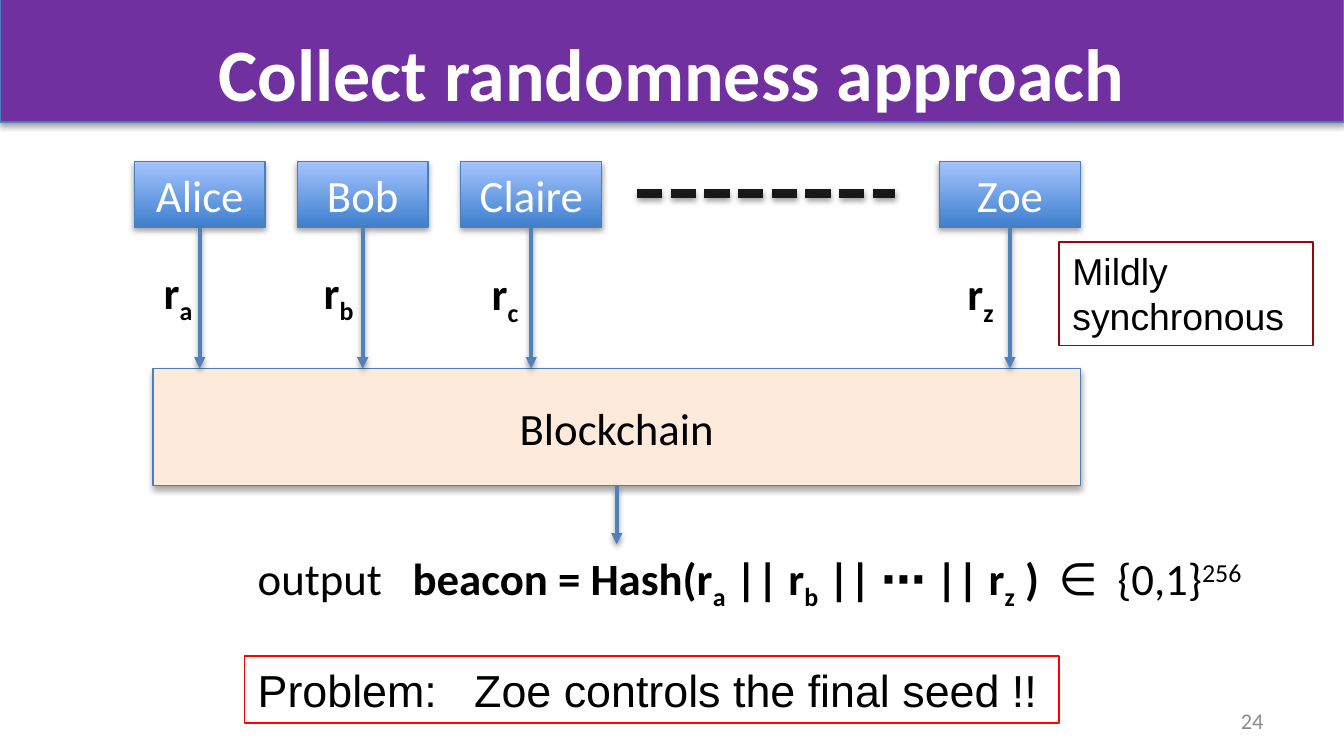
"""Build the slide on collecting randomness through a blockchain."""
from dataclasses import dataclass

from lxml import etree
from pptx import Presentation
from pptx.dml.color import RGBColor
from pptx.enum.dml import MSO_LINE
from pptx.enum.shapes import MSO_CONNECTOR, MSO_SHAPE
from pptx.enum.text import MSO_ANCHOR, MSO_AUTO_SIZE, PP_ALIGN
from pptx.oxml import parse_xml
from pptx.oxml.ns import nsdecls, qn
from pptx.util import Pt


@dataclass(frozen=True)
class Theme:
    banner: RGBColor = RGBColor(0x70, 0x30, 0xA0)
    outline: RGBColor = RGBColor(0x4B, 0x7E, 0xBC)
    arrow: RGBColor = RGBColor(0x4F, 0x81, 0xBD)
    dash: RGBColor = RGBColor(0x18, 0x18, 0x18)
    party_dark: RGBColor = RGBColor(0x3F, 0x80, 0xCE)
    party_light: RGBColor = RGBColor(0xA4, 0xC4, 0xFF)
    chain: RGBColor = RGBColor(0xFD, 0xEA, 0xDA)
    problem: RGBColor = RGBColor(0xFF, 0x00, 0x00)
    note: RGBColor = RGBColor(0x96, 0x06, 0x0B)
    black: RGBColor = RGBColor(0x00, 0x00, 0x00)
    white: RGBColor = RGBColor(0xFF, 0xFF, 0xFF)
    grey: RGBColor = RGBColor(0x8C, 0x8C, 0x8C)
    body_font: str = "Calibri"
    note_font: str = "Arial"
    title_size: float = 39.6
    body_size: float = 24
    note_size: float = 20
    number_size: float = 12


theme = Theme()


def cast_shadow(shape, opacity=35):
    properties = shape._element.spPr
    properties.append(parse_xml(
        f'<a:effectLst {nsdecls("a")}><a:outerShdw blurRad="{Pt(3.1)}" dist="{Pt(1.8)}" '
        f'dir="5400000" rotWithShape="0"><a:srgbClr val="000000">'
        f'<a:alpha val="{opacity * 1000}"/></a:srgbClr></a:outerShdw></a:effectLst>'))


def write(shape, pieces, color=theme.black, size=theme.body_size, font=theme.body_font,
          align=PP_ALIGN.LEFT, tabs=()):
    para = shape.text_frame.paragraphs[0]
    para.alignment = align
    if tabs:
        tab_list = etree.SubElement(para._p.get_or_add_pPr(), qn("a:tabLst"))
        for position in tabs:
            etree.SubElement(tab_list, qn("a:tab"), pos=str(Pt(position)), algn="l")
    for text, bold, baseline in pieces:
        span = para.add_run()
        span.text = text
        span.font.name = font
        span.font.size = Pt(size)
        span.font.bold = bold
        span.font.color.rgb = color
        if baseline:
            span.font._element.set("baseline", str(baseline * 1000))


deck = Presentation()
deck.slide_width, deck.slide_height = Pt(720), Pt(405)
page = deck.slides.add_slide(deck.slide_layouts[5])

banner = page.shapes.add_shape(MSO_SHAPE.RECTANGLE, Pt(0), Pt(-0.7), Pt(720), Pt(66.2))
banner.fill.solid()
banner.fill.fore_color.rgb = theme.banner
banner.line.color.rgb = theme.outline
banner.line.width = Pt(0.75)
cast_shadow(banner)
page.shapes.element.insert(2, banner._element)

title = page.shapes.title
title.left, title.top, title.width, title.height = Pt(36), Pt(10), Pt(648), Pt(49)
title.text_frame.auto_size = MSO_AUTO_SIZE.NONE
title.text_frame.vertical_anchor = MSO_ANCHOR.TOP
title.text_frame.margin_top, title.text_frame.margin_bottom = Pt(5), Pt(0)
write(title, [("Collect randomness approach", True, 0)], theme.white, theme.title_size,
      align=PP_ALIGN.CENTER)

boxes = {}
for name, left, top, width, height in (
    ("Alice", 72, 86.4, 70, 35.2),
    ("Bob", 159.3, 86.4, 70, 35.2),
    ("Claire", 246.8, 86.4, 75.6, 35.2),
    ("Zoe", 503.2, 86.4, 75.6, 35.2),
    ("Blockchain", 82, 197.4, 496.8, 62.8),
):
    box = page.shapes.add_shape(MSO_SHAPE.RECTANGLE, Pt(left), Pt(top), Pt(width), Pt(height))
    is_chain = name == "Blockchain"
    if is_chain:
        box.fill.solid()
        box.fill.fore_color.rgb = theme.chain
    else:
        box.fill.gradient()
        box.fill.gradient_angle = 90
        for stop, color in zip(box.fill.gradient_stops, (theme.party_dark, theme.party_light)):
            stop.color.rgb = color
    box.line.color.rgb = theme.outline
    box.line.width = Pt(0.75)
    cast_shadow(box)
    box.text_frame.vertical_anchor = MSO_ANCHOR.MIDDLE
    write(box, [(name, False, 0)], theme.black if is_chain else theme.white,
          align=PP_ALIGN.CENTER)
    boxes[name] = box

dashes = page.shapes.add_connector(MSO_CONNECTOR.STRAIGHT, Pt(341.3), Pt(103.7), Pt(479.5), Pt(103.7))
dashes.line.color.rgb = theme.dash
dashes.line.width = Pt(4.5)
dashes.line.dash_style = MSO_LINE.SQUARE_DOT
cast_shadow(dashes, 38)

for name, end in (("Alice", 197.4), ("Bob", 197.4), ("Claire", 197.4), ("Zoe", 197.4),
                  ("Blockchain", 291.6)):
    box = boxes[name]
    middle = box.left + box.width // 2
    arrow = page.shapes.add_connector(
        MSO_CONNECTOR.STRAIGHT, middle, box.top + box.height, middle, Pt(end))
    arrow.begin_connect(box, 2)
    arrow.line.color.rgb = theme.arrow
    arrow.line.width = Pt(2)
    etree.SubElement(arrow.line._get_or_add_ln(), qn("a:tailEnd"), type="triangle")
    cast_shadow(arrow, 38)

for letter, left, top, width in (("a", 80.6, 138.2, 30.2), ("b", 166.3, 138.2, 31.7),
                                 ("c", 256.3, 139, 29.5), ("z", 511.2, 139, 29.5)):
    label = page.shapes.add_textbox(Pt(left), Pt(top), Pt(width), Pt(36))
    label.text_frame.word_wrap = False
    write(label, [("r", True, 0), (letter, True, -25)])

output = page.shapes.add_textbox(Pt(131), Pt(291.6), Pt(553.7), Pt(36))
output.text_frame.word_wrap = True
write(output, [
    ("output\t", False, 0), ("beacon = Hash(r", True, 0), ("a", True, -25),
    (" || r", True, 0), ("b", True, -25), (" || ⋯ || r", True, 0), ("z", True, -25),
    (" )\t", True, 0), ("∈\t{0,1}", False, 0), ("256", False, 30),
], tabs=(83, 429, 460.5))

for text, left, top, width, height, color, size, tabs in (
    ("Problem:\tZoe controls the final seed !!", 131, 351.4, 436.3, 36,
     theme.problem, theme.body_size, (116,)),
    ("Mildly synchronous", 567.4, 129.6, 136, 55.4, theme.note, theme.note_size, ()),
):
    remark = page.shapes.add_textbox(Pt(left), Pt(top), Pt(width), Pt(height))
    remark.line.color.rgb = color
    remark.line.width = Pt(0.75)
    remark.text_frame.word_wrap = True
    write(remark, [(text, False, 0)], size=size, font=theme.note_font, tabs=tabs)

number = page.shapes.add_textbox(Pt(516.2), Pt(375.1), Pt(167.8), Pt(21.6))
number.text_frame.word_wrap = True
number.text_frame.vertical_anchor = MSO_ANCHOR.MIDDLE
write(number, [("24", False, 0)], theme.grey, theme.number_size, align=PP_ALIGN.RIGHT)

deck.save("out.pptx")
